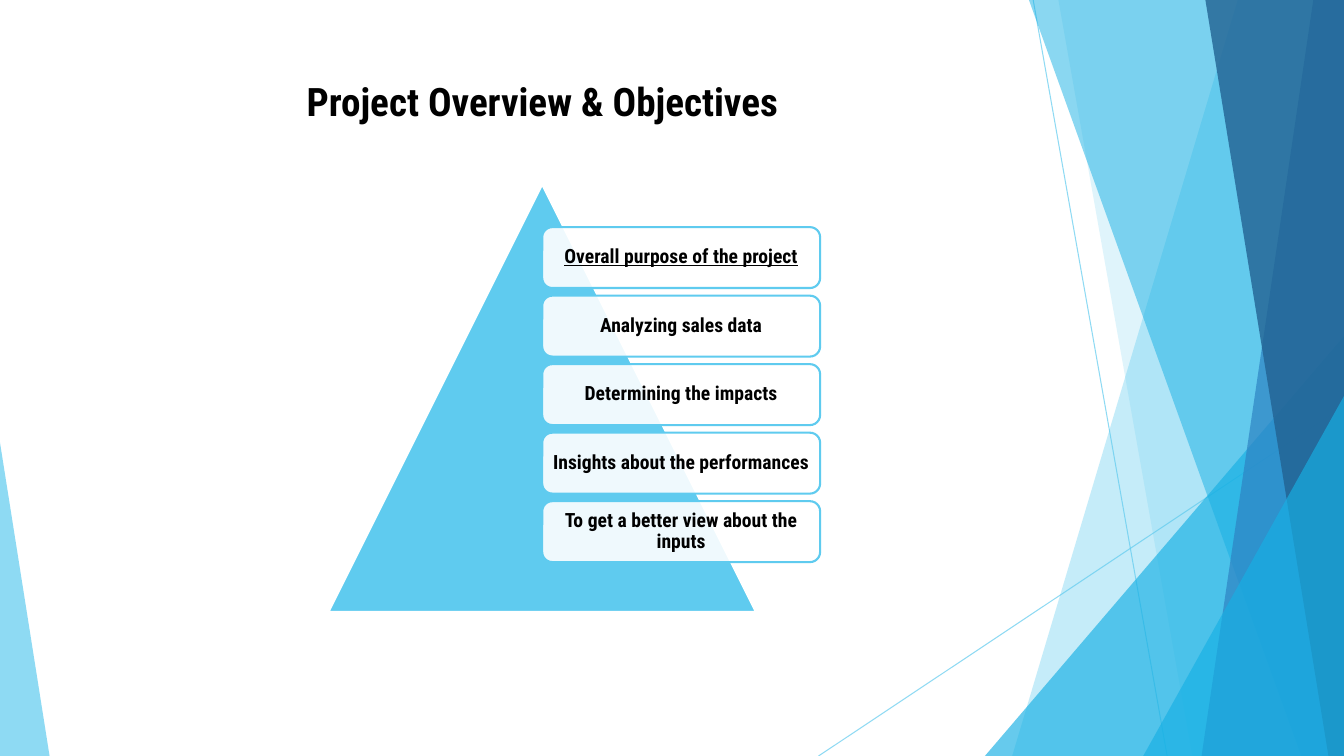
from dataclasses import dataclass

import pptx
import pptx.util
from pptx.dml.color import RGBColor
from pptx.enum.shapes import MSO_CONNECTOR, MSO_SHAPE
from pptx.enum.text import MSO_ANCHOR, MSO_AUTO_SIZE, PP_ALIGN
from pptx.oxml.xmlchemy import OxmlElement

COLS, ROWS = 32, 18
CELL = pptx.util.Inches(7.5) / ROWS


@dataclass(frozen=True)
class Theme:
    font: str = "Roboto Condensed"
    ink: str = "000000"
    paper: str = "FFFFFF"
    sky: str = "5FCBEF"
    cyan: str = "17B0E4"
    blue: str = "2E83C3"
    navy: str = "226292"
    head: float = 28
    body: float = 14
    thin: float = 0.75
    edge: float = 1.5


@dataclass(frozen=True)
class Box:
    """A place on the grid, in columns and rows."""
    left: float
    top: float
    width: float
    height: float


@dataclass(frozen=True)
class Ray:
    start: tuple[float, float]
    end: tuple[float, float]


@dataclass(frozen=True)
class Pane:
    """A full-height band from a slanted edge to the slide's right side."""
    top: float
    foot: float
    color: str
    alpha: int


@dataclass(frozen=True)
class Wedge:
    box: Box
    apex: float
    color: str
    alpha: int


THEME = Theme()
RAYS = [Ray((24.6, 0), (27.79, ROWS)), Ray((COLS, 9.67), (19.49, ROWS))]
FACETS: list[Pane | Wedge] = [
    Pane(29.47, 24.1, THEME.sky, 36),
    Pane(25.2, 28.39, THEME.sky, 20),
    Wedge(Box(23.45, 8, 8.55, 10), 1, THEME.cyan, 66),
    Pane(24.5, 30.98, THEME.cyan, 50),
    Pane(31.27, 28.61, THEME.blue, 70),
    Pane(28.7, 31.63, THEME.navy, 80),
    Wedge(Box(27.22, 9.43, 4.78, 8.57), 1, THEME.cyan, 66),
    Wedge(Box(0, 10.54, 1.18, 7.46), 0, THEME.sky, 70),
]
TITLE = Box(7.06, 1.73, 22.56, 3.46)
PEAK = Box(7.82, 4.39, 10.18, 10.18)
GOALS = [
    "Overall purpose of the project",
    "Analyzing sales data",
    "Determining the impacts",
    "Insights about the performances",
    "To get a better view about the inputs",
]
CARD = Box(PEAK.left + PEAK.width / 2, PEAK.top + PEAK.height / 10,
           PEAK.width * 0.65, 1.45)
STEP = CARD.height * 1.125


def emu(cells: float) -> int:
    return round(cells * CELL)


def spots(box: Box) -> tuple[int, int, int, int]:
    return emu(box.left), emu(box.top), emu(box.width), emu(box.height)


def fade(shape, route: str, alpha: int) -> None:
    """Set the opacity, in percent, of the solid fill found under route."""
    for color in shape.element.xpath(f"./p:spPr/{route}a:srgbClr"):
        mark = OxmlElement("a:alpha")
        mark.set("val", str(alpha * 1000))
        color.append(mark)


def paint(shape, color: str, alpha: int = 100, edge: str | None = None) -> None:
    shape.shadow.inherit = False
    shape.fill.solid()
    shape.fill.fore_color.rgb = RGBColor.from_string(color)
    if alpha < 100:
        fade(shape, "a:solidFill/", alpha)
    if edge is None:
        shape.line.fill.background()
    else:
        shape.line.color.rgb = RGBColor.from_string(edge)
        shape.line.width = pptx.util.Pt(THEME.edge)


def write(para, text: str, size: float, under: bool = False) -> None:
    run = para.add_run()
    run.text = text
    font = run.font
    font.name, font.size, font.bold = THEME.font, pptx.util.Pt(size), True
    font.color.rgb = RGBColor.from_string(THEME.ink)
    if under:
        font.underline = True


def draw_ray(shapes, ray: Ray) -> None:
    line = shapes.add_connector(MSO_CONNECTOR.STRAIGHT,
                                *map(emu, ray.start + ray.end))
    line.line.color.rgb = RGBColor.from_string(THEME.sky)
    line.line.width = pptx.util.Pt(THEME.thin)
    fade(line, "a:ln/a:solidFill/", 70)
    line.element.spPr.append(OxmlElement("a:effectLst"))


def draw_facet(shapes, facet: Pane | Wedge) -> None:
    if isinstance(facet, Pane):
        path = shapes.build_freeform(emu(facet.top), 0)
        path.add_line_segments([(emu(COLS), 0), (emu(COLS), emu(ROWS)),
                                (emu(facet.foot), emu(ROWS))])
        shape = path.convert_to_shape()
    else:
        shape = shapes.add_shape(MSO_SHAPE.ISOSCELES_TRIANGLE,
                                 *spots(facet.box))
        shape.adjustments[0] = facet.apex
    paint(shape, facet.color, facet.alpha)


def draw_title(title) -> None:
    title.left, title.top, title.width, title.height = spots(TITLE)
    frame = title.text_frame
    frame.word_wrap = True
    frame.auto_size = MSO_AUTO_SIZE.NONE
    frame.vertical_anchor = MSO_ANCHOR.TOP
    para = frame.paragraphs[0]
    para.alignment = PP_ALIGN.LEFT
    write(para, "Project Overview & Objectives", THEME.head)


def draw_card(shapes, row: int, goal: str) -> None:
    box = Box(CARD.left, CARD.top + row * STEP, CARD.width, CARD.height)
    card = shapes.add_shape(MSO_SHAPE.ROUNDED_RECTANGLE, *spots(box))
    paint(card, THEME.paper, 90, THEME.sky)
    frame = card.text_frame
    frame.word_wrap = True
    frame.vertical_anchor = MSO_ANCHOR.MIDDLE
    pad = pptx.util.Inches(0.06)
    frame.margin_left = frame.margin_right = pad
    frame.margin_top = frame.margin_bottom = pad
    para = frame.paragraphs[0]
    para.alignment = PP_ALIGN.CENTER
    para.line_spacing = 0.9
    write(para, goal, THEME.body, under=row == 0)


def main() -> None:
    deck = pptx.Presentation()
    deck.slide_width, deck.slide_height = emu(COLS), emu(ROWS)
    shapes = deck.slides.add_slide(
        deck.slide_layouts.get_by_name("Title Only")).shapes
    for ray in RAYS:
        draw_ray(shapes, ray)
    for facet in FACETS:
        draw_facet(shapes, facet)
    draw_title(shapes.title)
    peak = shapes.add_shape(MSO_SHAPE.ISOSCELES_TRIANGLE, *spots(PEAK))
    paint(peak, THEME.sky, edge=THEME.paper)
    for row, goal in enumerate(GOALS):
        draw_card(shapes, row, goal)
    deck.save("out.pptx")


if __name__ == "__main__":
    main()
